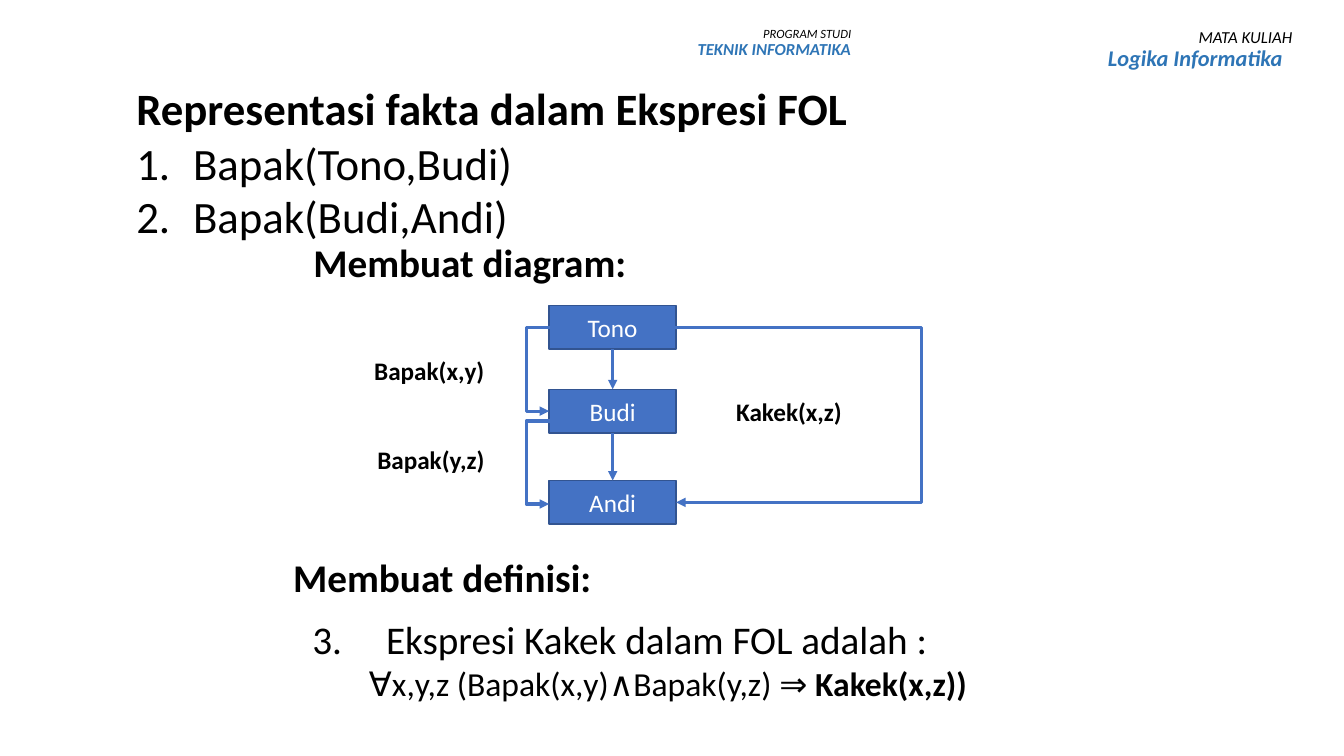
from pptx import Presentation
from pptx.dml.color import RGBColor
from pptx.enum.shapes import MSO_CONNECTOR as LINK, MSO_SHAPE
from pptx.enum.text import MSO_ANCHOR as ANCHOR, MSO_AUTO_SIZE as FIT, PP_ALIGN as ALIGN
from pptx.oxml.ns import qn
from pptx.util import Cm, Pt
from lxml.etree import SubElement

BLACK = RGBColor(0x00, 0x00, 0x00)
WHITE = RGBColor(0xFF, 0xFF, 0xFF)
BLUE = RGBColor(0x44, 0x72, 0xC4)
DARK_BLUE = RGBColor(0x32, 0x54, 0x91)
HEADER_BLUE = RGBColor(0x2E, 0x75, 0xB6)

deck = Presentation()
deck.slide_width, deck.slide_height = Cm(33.87), Cm(19.05)
page = deck.slides.add_slide(deck.slide_layouts[1])


def write(para, text, size, color=BLACK, bold=False, italic=False):
    span = para.add_run()
    span.text = text
    font = span.font
    font.name, font.size, font.color.rgb = "Calibri", Pt(size), color
    font.bold, font.italic = bold, italic


def hang(para, margin, number=None):
    """Indent a paragraph, with an automatic number hanging in the margin."""
    props = para._p.get_or_add_pPr()
    props.set("marL", str(Cm(margin)))
    props.set("indent", str(-Cm(margin) if number else 0))
    if number:
        SubElement(props, qn("a:buFont"), typeface="+mj-lt")
        SubElement(props, qn("a:buAutoNum"), type="arabicPeriod", startAt=str(number))


# Title and numbered facts
title, facts = page.shapes.title, page.placeholders[1]
for holder, top, height in ((title, 1.91, 1.37), (facts, 3.28, 3.2)):
    holder.left, holder.top = Cm(3.18), Cm(top)
    holder.width, holder.height = Cm(25.91), Cm(height)
    holder.text_frame.auto_size = FIT.NONE
    holder.text_frame.vertical_anchor = ANCHOR.TOP
heading = title.text_frame.paragraphs[0]
heading.alignment = ALIGN.LEFT
write(heading, "Representasi fakta dalam Ekspresi FOL", 32, bold=True)
for index, fact in enumerate(("Bapak(Tono,Budi)", "Bapak(Budi,Andi)")):
    para = facts.text_frame.add_paragraph() if index else facts.text_frame.paragraphs[0]
    hang(para, 1.43, 1)
    para.space_before = Pt(0)
    write(para, fact, 32)

# Family tree boxes
BOX_LEFT, BOX_WIDTH, BOX_HEIGHT = 13.84, 3.2, 1.1
BOX_RIGHT = BOX_LEFT + BOX_WIDTH
people = []
for name, top in (("Tono", 7.7), ("Budi", 9.81), ("Andi", 12.11)):
    box = page.shapes.add_shape(MSO_SHAPE.RECTANGLE, Cm(BOX_LEFT), Cm(top),
                                Cm(BOX_WIDTH), Cm(BOX_HEIGHT))
    box.shadow.inherit = False
    box.fill.solid()
    box.fill.fore_color.rgb = BLUE
    box.line.color.rgb, box.line.width = DARK_BLUE, Pt(1)
    box.text_frame.vertical_anchor = ANCHOR.MIDDLE
    para = box.text_frame.paragraphs[0]
    para.alignment = ALIGN.CENTER
    write(para, name, 18, WHITE)
    people.append(box)

# Arrows: straight between generations, bent around the sides
arrows = []
for parent, child in zip(people, people[1:]):
    arrow = page.shapes.add_connector(LINK.STRAIGHT, 0, 0, 0, 0)
    arrow.begin_connect(parent, 2)
    arrow.end_connect(child, 0)
    arrows.append(arrow)
STEP = 0.04  # an elbow needs some width for its bend to be a share of it
for start, end, bend, top, bottom in (
        (BOX_LEFT + STEP, BOX_LEFT, 13.26, 8.25, 10.36),
        (BOX_LEFT + STEP, BOX_LEFT, 13.26, 10.61, 12.7),
        (BOX_RIGHT - STEP, BOX_RIGHT, 23.22, 8.25, 12.66)):
    arrow = page.shapes.add_connector(LINK.ELBOW, Cm(start), Cm(top), Cm(end), Cm(bottom))
    share = round((bend - start) / (end - start) * 100000)
    geometry = arrow._element.spPr.find(qn("a:prstGeom"))
    SubElement(geometry.find(qn("a:avLst")), qn("a:gd"), name="adj1", fmla=f"val {share}")
    arrows.append(arrow)
for arrow in arrows:
    arrow.line.color.rgb, arrow.line.width = BLUE, Pt(2.25)
    SubElement(arrow.line._get_or_add_ln(), qn("a:tailEnd"), type="triangle")
    SubElement(arrow._element.spPr, qn("a:effectLst"))

# Labels, section headings and page header: one line each
for text, left, top, width, size, color, bold, italic, align in (
        ("Bapak(x,y)", 8.4, 8.84, 4.06, 18, BLACK, True, False, ALIGN.RIGHT),
        ("Bapak(y,z)", 8.4, 11.07, 4.06, 18, BLACK, True, False, ALIGN.RIGHT),
        ("Kakek(x,z)", 18.3, 9.86, 4.06, 18, BLACK, True, False, ALIGN.LEFT),
        ("Membuat diagram:", 7.65, 5.89, 10, 28, BLACK, True, False, ALIGN.LEFT),
        ("Membuat definisi:", 7.14, 13.82, 10, 28, BLACK, True, False, ALIGN.LEFT),
        ("PROGRAM STUDI", 15.32, 0.56, 6.38, 9, BLACK, False, True, ALIGN.RIGHT),
        ("TEKNIK INFORMATIKA", 15.32, 0.91, 6.38, 12, HEADER_BLUE, True, True, ALIGN.RIGHT),
        ("MATA KULIAH", 23.27, 0.61, 9.55, 12, BLACK, False, True, ALIGN.RIGHT),
        ("Logika Informatika", 23.02, 1.07, 9.55, 16, HEADER_BLUE, True, True, ALIGN.RIGHT)):
    label = page.shapes.add_textbox(Cm(left), Cm(top), Cm(width), Pt(size * 1.2) + Cm(0.25))
    label.text_frame.word_wrap = True
    para = label.text_frame.paragraphs[0]
    para.alignment = align
    if italic:
        para.line_spacing = 0.9
    write(para, text, size, color, bold, italic)

# Definition of grandfather
definition = page.shapes.add_textbox(Cm(7.62), Cm(15.39), Cm(19.99), Cm(2.64)).text_frame
definition.word_wrap = True
intro = definition.paragraphs[0]
hang(intro, 1.86, 3)
write(intro, "Ekspresi Kakek dalam FOL adalah :", 28)
formula = definition.add_paragraph()
hang(formula, 1.43)
write(formula, "∀x,y,z (Bapak(x,y)∧Bapak(y,z) ⇒ ", 24)
write(formula, "Kakek(x,z))", 24, bold=True)

deck.save("out.pptx")
